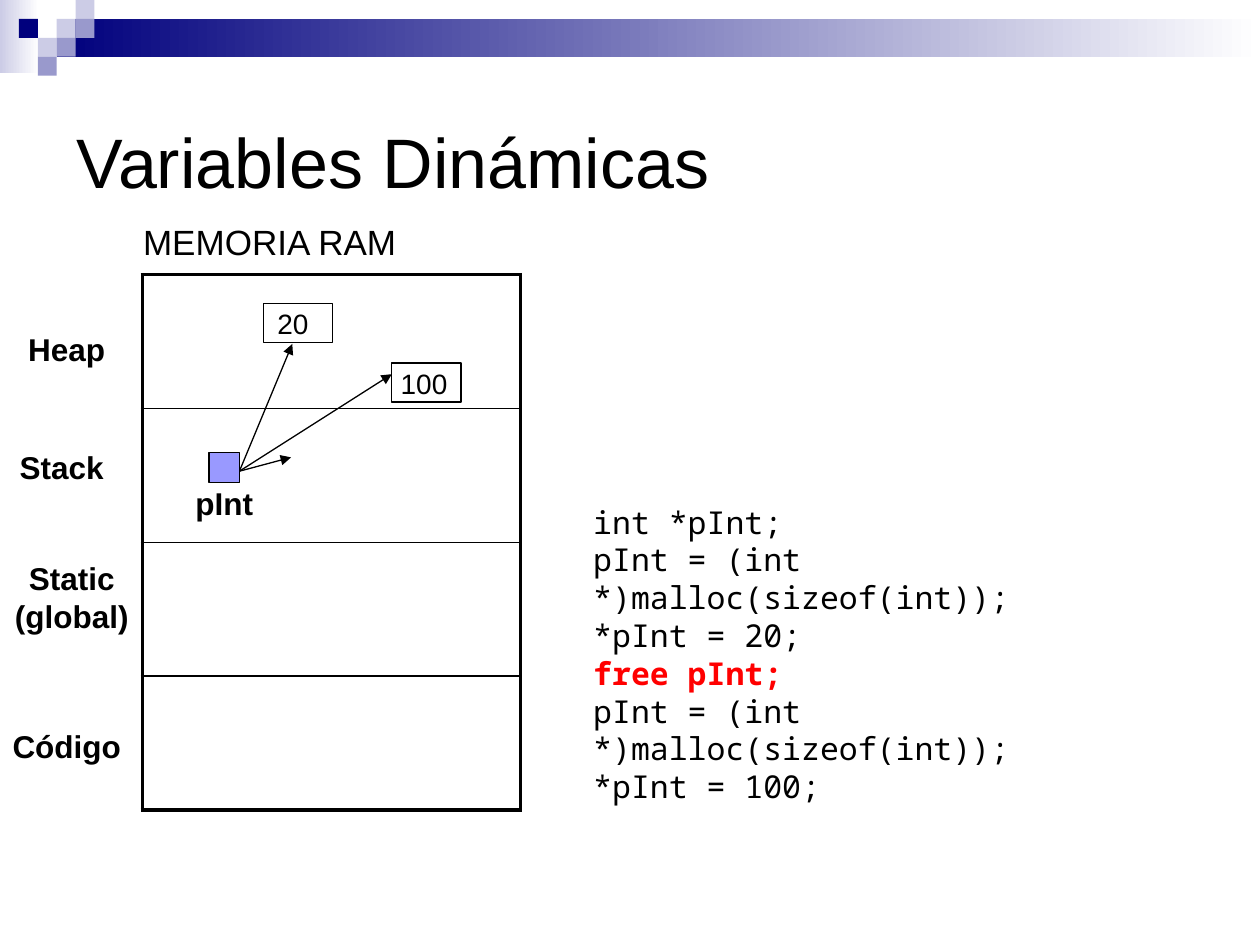
from lxml.etree import SubElement
from pptx import Presentation
from pptx.dml.color import RGBColor
from pptx.enum.shapes import MSO_CONNECTOR, MSO_SHAPE
from pptx.enum.text import MSO_ANCHOR, PP_ALIGN
from pptx.oxml.ns import qn
from pptx.util import Inches, Pt

BLACK = RGBColor(0x00, 0x00, 0x00)
WHITE = RGBColor(0xFF, 0xFF, 0xFF)
RED = RGBColor(0xFF, 0x00, 0x00)
NAVY = RGBColor(0x00, 0x00, 0x7D)
LAVENDER = RGBColor(0xCC, 0xCC, 0xE6)
PERIWINKLE = RGBColor(0x99, 0x99, 0xCC)
POINTER_BLUE = RGBColor(0x99, 0x99, 0xFF)

SANS, MONO = "Arial", "Noto Sans Mono"
SECTIONS = 4
CODE = [
    "int *pInt;",
    "pInt = (int *)malloc(sizeof(int));",
    "*pInt = 20;",
    "free pInt;",
    "pInt = (int *)malloc(sizeof(int));",
    "*pInt = 100;",
]


def add_rect(s, x, y, w, h, fill=None, line=None, fade=False):
    sp = s.shapes.add_shape(MSO_SHAPE.RECTANGLE, Inches(x), Inches(y), Inches(w), Inches(h))
    sp.shadow.inherit = False
    if fade:
        sp.fill.gradient()
        sp.fill.gradient_angle = 0
        for stop, color in zip(sp.fill.gradient_stops, (fill, WHITE)):
            stop.color.rgb = color
    elif fill is not None:
        sp.fill.solid()
        sp.fill.fore_color.rgb = fill
    else:
        sp.fill.background()
    if line is not None:
        sp.line.color.rgb = line
        sp.line.width = Pt(0.75)
    else:
        sp.line.fill.background()


def add_text(s, x, y, w, h, lines, size, bold=False, font=SANS, align=PP_ALIGN.CENTER):
    tf = s.shapes.add_textbox(Inches(x), Inches(y), Inches(w), Inches(h)).text_frame
    tf.word_wrap = True
    tf.vertical_anchor = MSO_ANCHOR.MIDDLE
    tf.text = "\n".join(lines)
    for p in tf.paragraphs:
        p.alignment = align
        p.font.size = Pt(size)
        p.font.bold = bold
        p.font.name = font
        p.font.color.rgb = BLACK
    return tf


def add_arrow(s, start, end):
    cx = s.shapes.add_connector(MSO_CONNECTOR.STRAIGHT, *(Inches(v) for v in (*start, *end)))
    cx.line.color.rgb = BLACK
    cx.line.width = Pt(0.75)
    SubElement(cx.line._get_or_add_ln(), qn("a:tailEnd"), type="triangle")
    SubElement(cx._element.spPr, qn("a:effectLst"))


def set_border(cell, side, width):
    ln = SubElement(cell._tc.get_or_add_tcPr(), qn(f"a:ln{side}"), w=str(Pt(width)))
    fill = SubElement(ln, qn("a:solidFill"))
    SubElement(fill, qn("a:srgbClr"), val=str(BLACK))


def add_memory_table(s, x, y, w, h):
    table = s.shapes.add_table(SECTIONS, 1, Inches(x), Inches(y), Inches(w), Inches(h)).table
    table.first_row = table.horz_banding = False
    for i in range(SECTIONS):
        cell = table.cell(i, 0)
        # Borders come before the fill in the cell properties
        set_border(cell, "L", 2.25)
        set_border(cell, "R", 2.25)
        set_border(cell, "T", 2.25 if i == 0 else 1)
        set_border(cell, "B", 2.25 if i == SECTIONS - 1 else 1)
        cell.fill.background()


def add_banner(s):
    add_rect(s, 0, 0, 0.31, 0.58, LAVENDER, fade=True)
    add_rect(s, 0.45, 0.15, 9.55, 0.3, NAVY, fade=True)
    side = 0.15
    tiles = [(3, 1, LAVENDER), (4, 0, LAVENDER), (4, 1, PERIWINKLE), (2, 2, LAVENDER),
             (1, 1, NAVY), (3, 2, PERIWINKLE), (2, 3, PERIWINKLE)]
    for col, row, color in tiles:
        add_rect(s, col * side, row * side, side, side, color)


def add_code(s):
    tf = add_text(s, 4.61, 4.23, 4.88, 2.2, CODE, 18, font=MONO, align=PP_ALIGN.LEFT)
    tf.margin_bottom = Inches(0.33)
    p = tf.paragraphs[CODE.index("free pInt;")]
    p.font.bold = True
    p.font.color.rgb = RED
    for r in p.runs:
        r.font.bold = True
        r.font.color.rgb = RED


def main():
    prs = Presentation()
    prs.slide_width, prs.slide_height = Inches(10), Inches(7.5)
    s = prs.slides.add_slide(prs.slide_layouts[6])

    add_banner(s)
    add_text(s, 0.51, 0.52, 9, 1.5, ["Variables Dinámicas"], 40, align=PP_ALIGN.LEFT)

    # Memory map and its section labels
    add_memory_table(s, 1.13, 2.18, 3, 4.25)
    add_text(s, 0.35, 1.7, 3.58, 0.43, ["MEMORIA RAM"], 20)
    labels = [(0, 2.57, 1.06, 0.4, ["Heap"]), (-0.04, 3.51, 1.06, 0.4, ["Stack"]),
              (0, 4.39, 1.14, 0.7, ["Static", "(global)"]), (0, 5.72, 1.06, 0.4, ["Código"]),
              (1.25, 3.79, 1.06, 0.4, ["pInt"])]
    for label in labels:
        add_text(s, *label, 18, bold=True)

    add_code(s)

    # Heap values
    for x, y, text_x, text_y, value in [(2.09, 2.41, 1.93, 2.38, "20"),
                                        (3.11, 2.88, 2.97, 2.86, "100")]:
        add_rect(s, x, y, 0.55, 0.31, line=BLACK)
        add_text(s, text_x, text_y, 0.79, 0.37, [value], 16)

    # Pointer and its successive targets
    for target in [(2.31, 3.63), (2.32, 2.73), (3.11, 2.97)]:
        add_arrow(s, (1.9, 3.74), target)
    add_rect(s, 1.66, 3.59, 0.24, 0.24, POINTER_BLUE, BLACK)

    prs.save("out.pptx")


main()
